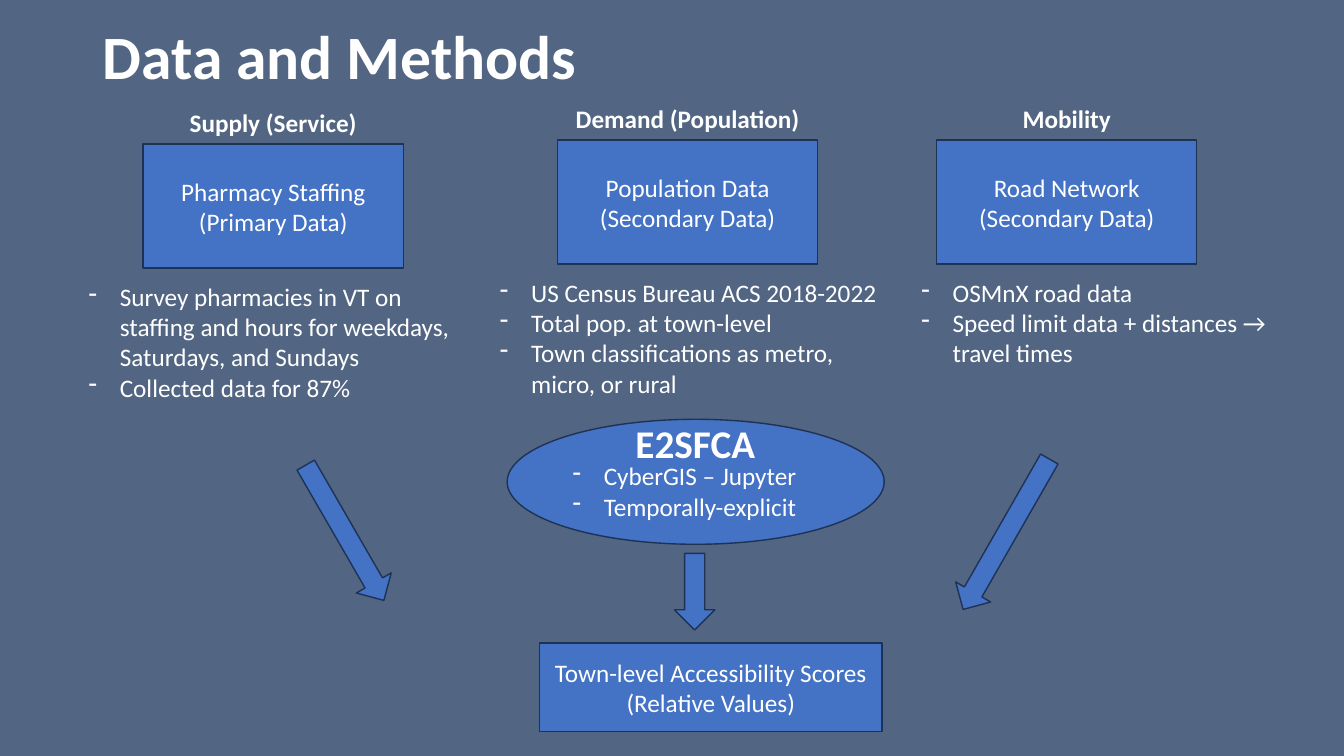
from lxml import etree
from pptx import Presentation
from pptx.dml.color import RGBColor
from pptx.enum.shapes import MSO_SHAPE
from pptx.enum.text import MSO_ANCHOR, PP_ALIGN
from pptx.oxml.ns import qn
from pptx.util import Inches, Pt

RECT, OVAL, ARROW = MSO_SHAPE.RECTANGLE, MSO_SHAPE.OVAL, MSO_SHAPE.DOWN_ARROW
LEFT, CENTER = PP_ALIGN.LEFT, PP_ALIGN.CENTER
TOP, MIDDLE = MSO_ANCHOR.TOP, MSO_ANCHOR.MIDDLE

SLATE = RGBColor(0x52, 0x65, 0x82)
BLUE = RGBColor(0x44, 0x72, 0xC4)
NAVY = RGBColor(0x1E, 0x32, 0x56)
WHITE = RGBColor(0xFF, 0xFF, 0xFF)

BOX_W, BOX_H = 2.58, 1.23
COLUMNS = [
    ("Supply (Service)", ["Pharmacy Staffing", "(Primary Data)"], 1.42, 1.43,
     ["Survey pharmacies in VT on staffing and hours for weekdays, Saturdays, and Sundays",
      "Collected data for 87%"], 0.78, 4.08),
    ("Demand (Population)", ["Population Data", "(Secondary Data)"], 5.53, 1.39,
     ["US Census Bureau ACS 2018-2022", "Total pop. at town-level",
      "Town classifications as metro, micro, or rural"], 4.86, 4.08),
    ("Mobility", ["Road Network", "(Secondary Data)"], 9.29, 1.39,
     ["OSMnX road data", "Speed limit data + distances → travel times"], 9.04, 3.78),
]
ARROWS = [(6.69, 5.49, 0.76, 0), (9.78, 4.44, 1.72, 29.8), (3.22, 4.51, 1.55, 330)]


def write(tf, lines, size=18, bold=False, align=LEFT, anchor=TOP, bullet=None):
    tf.word_wrap = True
    tf.vertical_anchor = anchor
    for i, line in enumerate(lines):
        p = tf.paragraphs[0] if i == 0 else tf.add_paragraph()
        p.alignment = align
        if bullet:
            pPr = p._p.get_or_add_pPr()
            pPr.set("marL", str(Inches(0.31)))
            pPr.set("indent", str(-Inches(0.31)))
            etree.SubElement(pPr, qn("a:buChar")).set("char", bullet)
        r = p.add_run()
        r.text = line
        r.font.name = "Calibri"
        r.font.size = Pt(size)
        r.font.bold = bold
        r.font.color.rgb = WHITE


def add_text(s, lines, x, y, w, h, **fmt):
    sp = s.shapes.add_textbox(Inches(x), Inches(y), Inches(w), Inches(h))
    write(sp.text_frame, lines, **fmt)


def add_block(s, kind, x, y, w, h, lines=(), rotation=0):
    sp = s.shapes.add_shape(kind, Inches(x), Inches(y), Inches(w), Inches(h))
    sp.shadow.inherit = False
    sp.fill.solid()
    sp.fill.fore_color.rgb = BLUE
    sp.line.color.rgb = NAVY
    sp.line.width = Pt(1)
    sp.rotation = rotation
    write(sp.text_frame, lines, align=CENTER, anchor=MIDDLE)


def add_title(s, text):
    sp = s.shapes.title
    sp.left, sp.top, sp.width, sp.height = (Inches(v) for v in (0.92, -0.13, 11.5, 1.45))
    write(sp.text_frame, [text], size=44, bold=True, anchor=MIDDLE)
    sp.text_frame.paragraphs[0].line_spacing = 0.9


def add_column(s, heading, source, x, y, notes, notes_x, notes_w):
    add_text(s, [heading], x, y - 0.41, BOX_W, 0.4, bold=True, align=CENTER)
    add_block(s, RECT, x, y, BOX_W, BOX_H, source)
    add_text(s, notes, notes_x, y + 1.31, notes_w, 1.31, bullet="-")


def main():
    prs = Presentation()
    prs.slide_width, prs.slide_height = Inches(13.33), Inches(7.5)
    s = prs.slides.add_slide(prs.slide_layouts[5])
    s.background.fill.solid()
    s.background.fill.fore_color.rgb = SLATE

    add_title(s, "Data and Methods")
    for column in COLUMNS:
        add_column(s, *column)

    add_block(s, OVAL, 5.03, 4.16, 3.74, 1.24)
    add_text(s, ["E2SFCA"], 5.42, 4.11, 2.95, 0.57, size=28, bold=True, align=CENTER)
    add_text(s, ["CyberGIS – Jupyter", "Temporally-explicit"], 5.58, 4.52, 2.98, 0.71, bullet="-")

    for x, y, length, rotation in ARROWS:
        add_block(s, ARROW, x, y, 0.4, length, rotation=rotation)
    add_block(s, RECT, 5.35, 6.38, 3.4, 0.88,
              ["Town-level Accessibility Scores", "(Relative Values)"])
    prs.save("out.pptx")


if __name__ == "__main__":
    main()
